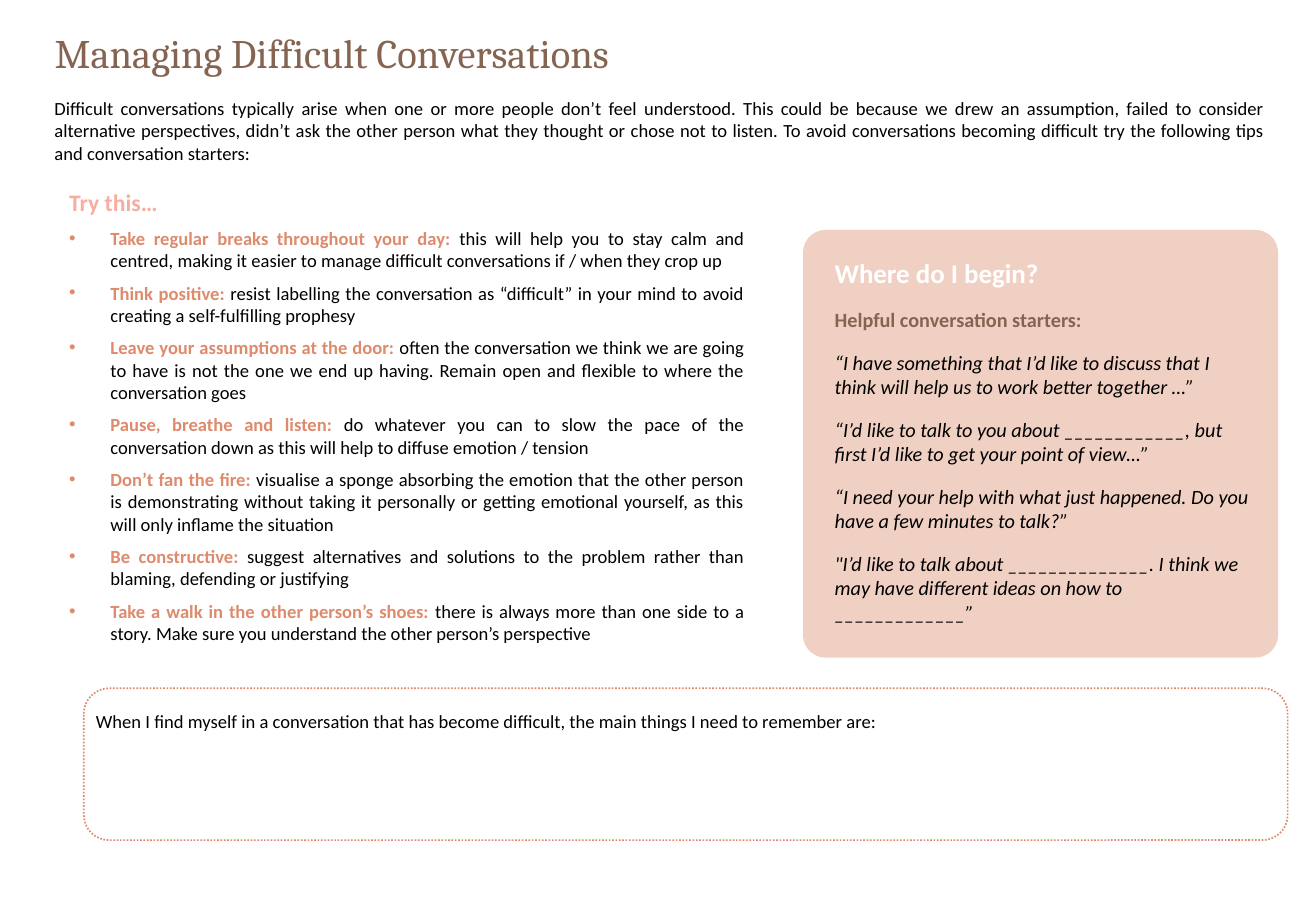
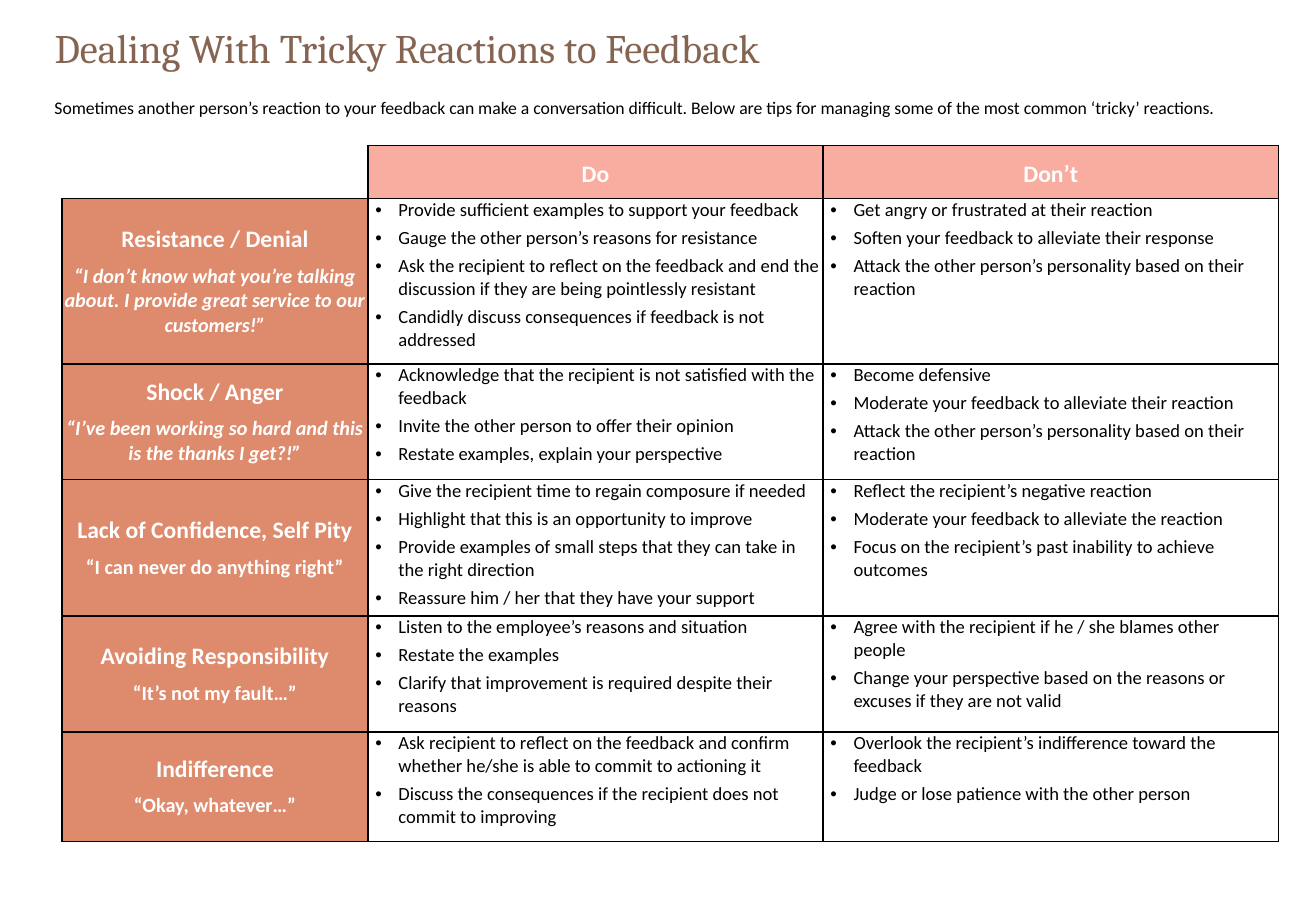
from dataclasses import dataclass
from typing import NamedTuple

from pptx import Presentation
from pptx.dml.color import RGBColor
from pptx.enum.dml import MSO_LINE
from pptx.enum.shapes import MSO_SHAPE
from pptx.enum.text import MSO_ANCHOR, MSO_AUTO_SIZE, PP_ALIGN
from pptx.oxml.ns import qn
from pptx.oxml.xmlchemy import OxmlElement
from pptx.util import Pt

LEFT, CENTER, JUSTIFY = PP_ALIGN.LEFT, PP_ALIGN.CENTER, PP_ALIGN.JUSTIFY
TOP, MIDDLE = MSO_ANCHOR.TOP, MSO_ANCHOR.MIDDLE
NO_FIT = MSO_AUTO_SIZE.NONE
ROUNDED, DOTTED = MSO_SHAPE.ROUNDED_RECTANGLE, MSO_LINE.ROUND_DOT
TITLE_AND_CONTENT, TITLE_ONLY = 1, 5


@dataclass(frozen=True)
class Theme:
    """Colours, fonts and type sizes of the deck."""
    brown: str = "856451"
    pink: str = "F8ADA0"
    terracotta: str = "DE8A6C"
    blush: str = "ECBDAC"
    black: str = "000000"
    white: str = "FFFFFF"
    heading_font: str = "Cambria"
    body_font: str = "Calibri"
    title: float = 24
    card_heading: float = 16
    heading: float = 14
    quote: float = 12
    body: float = 11
    small: float = 10.5


class Box(NamedTuple):
    """A region of the slide in points."""
    left: float
    top: float
    width: float
    height: float

    def lengths(self):
        """Return the four lengths for python-pptx."""
        return [Pt(value) for value in self]


THEME = Theme()
PAGE = (780, 540)

TIPS = [
    ("Take regular breaks throughout your day: ",
     "this will help you to stay calm and centred, making it easier to manage difficult "
     "conversations if / when they crop up"),
    ("Think positive: ",
     "resist labelling the conversation as “difficult” in your mind to avoid creating a "
     "self-fulfilling prophesy"),
    ("Leave your assumptions at the door: ",
     "often the conversation we think we are going to have is not the one we end up having. "
     "Remain open and flexible to where the conversation goes"),
    ("Pause, breathe and listen: ",
     "do whatever you can to slow the pace of the conversation down as this will help to "
     "diffuse emotion / tension"),
    ("Don’t fan the fire: ",
     "visualise a sponge absorbing the emotion that the other person is demonstrating without "
     "taking it personally or getting emotional yourself, as this will only inflame the situation"),
    ("Be constructive: ",
     "suggest alternatives and solutions to the problem rather than blaming, defending or "
     "justifying"),
    ("Take a walk in the other person’s shoes: ",
     "there is always more than one side to a story. Make sure you understand the other "
     "person’s perspective"),
]

STARTERS = [
    "“I have something that I’d like to discuss that I think will help us to work better "
    "together …”",
    "“I’d like to talk to you about ____________, but first I’d like to get your point of view…”",
    "“I need your help with what just happened. Do you have a few minutes to talk?”",
    "\"I’d like to talk about ______________. I think we may have different ideas on how to "
    "_____________”",
]


class Reaction(NamedTuple):
    """One table row: a reaction, its quote and the advice on it."""
    name: str
    quote: str
    italic: bool
    height: float
    do: list
    dont: list


REACTIONS = [
    Reaction("Resistance / Denial",
             "“I don’t know what you’re talking about. I provide great service to our customers!”",
             True, 98,
             ["Provide sufficient examples to support your feedback",
              "Gauge the other person’s reasons for resistance",
              "Ask the recipient to reflect on the feedback and end the discussion if they are "
              "being pointlessly resistant",
              "Candidly discuss consequences if feedback is not addressed"],
             ["Get angry or frustrated at their reaction",
              "Soften your feedback to alleviate their response",
              "Attack the other person’s personality based on their reaction"]),
    Reaction("Shock / Anger",
             "“I’ve been working so hard and this is the thanks I get?!”", True, 68.5,
             ["Acknowledge that the recipient is not satisfied with the feedback",
              "Invite the other person to offer their opinion",
              "Restate examples, explain your perspective"],
             ["Become defensive",
              "Moderate your feedback to alleviate their reaction",
              "Attack the other person’s personality based on their reaction"]),
    Reaction("Lack of Confidence, Self Pity", "“I can never do anything right”", False, 80.8,
             ["Give the recipient time to regain composure if needed",
              "Highlight that this is an opportunity to improve",
              "Provide examples of small steps that they can take in the right direction",
              "Reassure him / her that they have your support"],
             ["Reflect the recipient’s negative reaction",
              "Moderate your feedback to alleviate the reaction",
              "Focus on the recipient’s past inability to achieve outcomes"]),
    Reaction("Avoiding Responsibility", "“It’s not my fault…”", False, 68.8,
             ["Listen to the employee’s reasons and situation",
              "Restate the examples",
              "Clarify that improvement is required despite their reasons"],
             ["Agree with the recipient if he / she blames other people",
              "Change your perspective based on the reasons or excuses if they are not valid"]),
    Reaction("Indifference", "“Okay, whatever…”", False, 64.8,
             ["Ask recipient to reflect on the feedback and confirm whether he/she is able to "
              "commit to actioning it",
              "Discuss the consequences if the recipient does not commit to improving"],
             ["Overlook the recipient’s indifference toward the feedback",
              "Judge or lose patience with the other person"]),
]


def add_paragraph(frame, align=LEFT, after=0, before=0, spacing=1.0):
    """Return the next free paragraph of a frame, formatted."""
    first = frame.paragraphs[0]
    paragraph = frame.add_paragraph() if first.runs else first
    paragraph.alignment, paragraph.line_spacing = align, spacing
    paragraph.space_before, paragraph.space_after = Pt(before), Pt(after)
    return paragraph


def add_run(paragraph, text, size, color=THEME.black, bold=False, italic=False,
            face=THEME.body_font):
    """Append one formatted run."""
    run = paragraph.add_run()
    run.text = text
    font = run.font
    font.name, font.size, font.bold, font.italic = face, Pt(size), bold, italic
    font.color.rgb = RGBColor.from_string(color)


def set_bullet(paragraph, margin=0, hanging=0, mark=None):
    """Set the hanging indent and the bullet, or no bullet without a mark."""
    properties = paragraph._p.get_or_add_pPr()
    properties.set("marL", str(Pt(margin)))
    properties.set("indent", str(-Pt(hanging)))
    if mark:
        face = OxmlElement("a:buFont")
        face.set("typeface", "Arial")
        bullet = OxmlElement("a:buChar")
        bullet.set("char", mark)
        properties.extend([face, bullet])
    else:
        properties.append(OxmlElement("a:buNone"))


def place(shape, box):
    """Move a placeholder to a box."""
    shape.left, shape.top, shape.width, shape.height = box.lengths()
    shape.text_frame.auto_size = NO_FIT


def add_title(slide, box, text):
    """Fill the title placeholder."""
    title = slide.shapes.title
    place(title, box)
    title.text_frame.vertical_anchor = MIDDLE
    add_run(add_paragraph(title.text_frame, spacing=0.9), text, THEME.title, THEME.brown,
            face=THEME.heading_font)


def add_intro(slide, box, text, size):
    """Add the justified introduction under the title."""
    frame = slide.shapes.add_textbox(*box.lengths()).text_frame
    frame.word_wrap = True
    add_run(add_paragraph(frame, JUSTIFY, after=6), text, size)


def add_tips(slide, box):
    """Fill the body placeholder with the bulleted tips."""
    body = slide.placeholders[1]
    place(body, box)
    heading = add_paragraph(body.text_frame, JUSTIFY, after=6)
    set_bullet(heading)
    add_run(heading, "Try this…", THEME.heading, THEME.pink, bold=True)
    for lead, advice in TIPS:
        tip = add_paragraph(body.text_frame, JUSTIFY, after=6)
        set_bullet(tip, 24.5, 24.5, "•")
        add_run(tip, lead, THEME.body, THEME.terracotta, bold=True)
        add_run(tip, advice, THEME.body)


def add_panel(slide, box, margin_left, margin_top):
    """Add a rounded panel with top-anchored text and return it."""
    panel = slide.shapes.add_shape(ROUNDED, *box.lengths())
    panel.shadow.inherit = False
    frame = panel.text_frame
    frame.word_wrap, frame.vertical_anchor = True, TOP
    frame.margin_left, frame.margin_top = Pt(margin_left), Pt(margin_top)
    return panel


def add_starters(slide, box):
    """Add the tinted card of conversation starters."""
    card = add_panel(slide, box, 14.8, 12)
    card.adjustments[0] = 0.053
    card.text_frame.margin_right = Pt(12)
    card.line.fill.background()
    card.fill.solid()
    card.fill.fore_color.rgb = RGBColor.from_string(THEME.blush)
    alpha = OxmlElement("a:alpha")
    alpha.set("val", "70000")
    card._element.spPr.find(".//" + qn("a:srgbClr")).append(alpha)
    lines = [("Where do I begin?", THEME.card_heading, THEME.white, True, False),
             ("Helpful conversation starters:", THEME.quote, THEME.brown, True, False)]
    lines += [(starter, THEME.quote, THEME.black, False, True) for starter in STARTERS]
    for line in lines:
        add_run(add_paragraph(card.text_frame, after=10.9), *line)


def add_reflection(slide, box):
    """Add the dotted panel for the reader's own notes."""
    panel = add_panel(slide, box, 2.8, 8.6)
    panel.fill.background()
    panel.line.color.rgb = RGBColor.from_string(THEME.terracotta)
    panel.line.width, panel.line.dash_style = Pt(1), DOTTED
    add_run(add_paragraph(panel.text_frame),
            "When I find myself in a conversation that has become difficult, the main things "
            "I need to remember are:", THEME.body)


def format_cell(cell, fill=None, anchor=MIDDLE, edge=THEME.black):
    """Set fill, margins and borders; edge colours the left and top."""
    cell.margin_left = cell.margin_right = Pt(1.44)
    cell.margin_top = cell.margin_bottom = 0
    cell.vertical_anchor = anchor
    if fill:
        cell.fill.solid()
        cell.fill.fore_color.rgb = RGBColor.from_string(fill)
    else:
        cell.fill.background()
    sides = {"L": edge, "R": THEME.black, "T": edge, "B": THEME.black}
    for index, (side, color) in enumerate(sides.items()):
        border = OxmlElement("a:ln" + side)
        border.set("w", str(Pt(1)))
        paint, value = OxmlElement("a:solidFill"), OxmlElement("a:srgbClr")
        value.set("val", color)
        paint.append(value)
        border.append(paint)
        cell._tc.get_or_add_tcPr().insert(index, border)


def add_reactions(slide, box):
    """Add the table of reactions with what to do and not to do."""
    table = slide.shapes.add_table(len(REACTIONS) + 1, 3, *box.lengths()).table
    table.first_row = table.horz_banding = False
    name_width = 181.4
    advice_width = (box.width - name_width) / 2
    for column, width in zip(table.columns, (name_width, advice_width, advice_width)):
        column.width = Pt(width)
    heights = [reaction.height for reaction in REACTIONS]
    for row, height in zip(table.rows, [box.height - sum(heights)] + heights):
        row.height = Pt(height)
    format_cell(table.cell(0, 0), edge=THEME.white)
    for index, label in enumerate(("Do", "Don’t"), 1):
        header = table.cell(0, index)
        format_cell(header, THEME.pink)
        add_run(add_paragraph(header.text_frame, CENTER, 4, 4, 1.15), label,
                THEME.heading, THEME.white, bold=True)
    for index, reaction in enumerate(REACTIONS, 1):
        name = table.cell(index, 0)
        format_cell(name, THEME.terracotta)
        add_run(add_paragraph(name.text_frame, CENTER, after=6), reaction.name,
                THEME.heading, THEME.white, bold=True)
        add_run(add_paragraph(name.text_frame, CENTER, after=6 if reaction.italic else 0),
                reaction.quote, THEME.quote, THEME.white, True, reaction.italic)
        for column, advice in enumerate((reaction.do, reaction.dont), 1):
            cell = table.cell(index, column)
            format_cell(cell, anchor=TOP)
            for item in advice:
                paragraph = add_paragraph(cell.text_frame, after=3)
                set_bullet(paragraph, 16.6, 13.7, "•")
                add_run(paragraph, item, THEME.body)


def build_conversations(deck):
    """Build the slide on difficult conversations."""
    slide = deck.slides.add_slide(deck.slide_layouts[TITLE_AND_CONTENT])
    add_title(slide, Box(25.2, 16, 681, 34), "Managing Difficult Conversations")
    add_intro(slide, Box(25.2, 54, 732, 47.5),
              "Difficult conversations typically arise when one or more people don’t feel "
              "understood. This could be because we drew an assumption, failed to consider "
              "alternative perspectives, didn’t ask the other person what they thought or chose "
              "not to listen. To avoid conversations becoming difficult try the following tips "
              "and conversation starters:", THEME.body)
    add_tips(slide, Box(33.8, 108, 414.7, 282))
    add_starters(slide, Box(476, 136.3, 281.5, 253.5))
    add_reflection(slide, Box(49.7, 408, 713.5, 90))


def build_reactions(deck):
    """Build the slide on reactions to feedback."""
    slide = deck.slides.add_slide(deck.slide_layouts[TITLE_ONLY])
    add_title(slide, Box(25.2, 13, 681, 34), "Dealing With Tricky Reactions to Feedback")
    add_intro(slide, Box(25.2, 54, 732, 20),
              "Sometimes another person’s reaction to your feedback can make a conversation "
              "difficult. Below are tips for managing some of the most common ‘tricky’ "
              "reactions.", THEME.small)
    add_reactions(slide, Box(36.7, 86.4, 721, 412.3))


def main():
    """Build and save the deck."""
    deck = Presentation()
    deck.slide_width, deck.slide_height = [Pt(length) for length in PAGE]
    build_conversations(deck)
    build_reactions(deck)
    deck.save("out.pptx")


if __name__ == "__main__":
    main()
